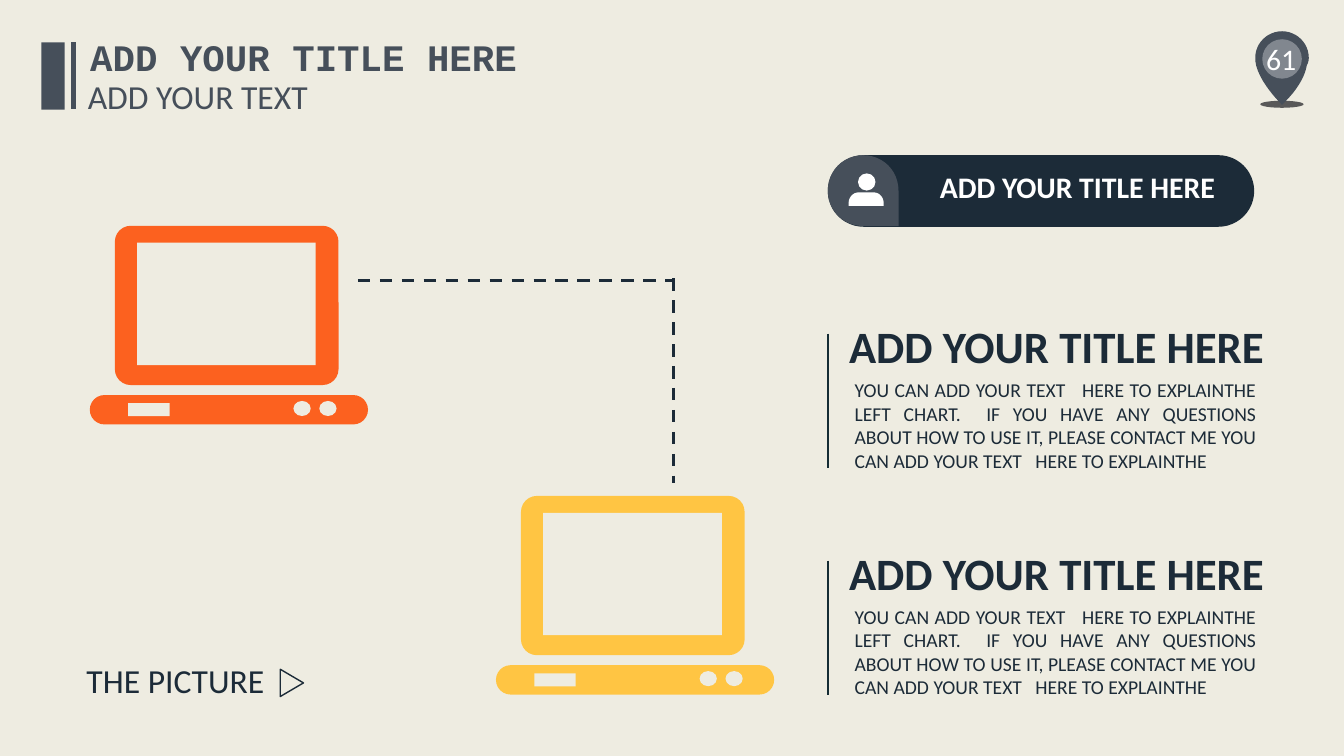
from dataclasses import dataclass

from lxml.etree import SubElement
from pptx import Presentation
from pptx.dml.color import RGBColor
from pptx.enum.dml import MSO_LINE
from pptx.enum.shapes import MSO_CONNECTOR, MSO_SHAPE
from pptx.enum.text import MSO_ANCHOR, MSO_AUTO_SIZE, PP_ALIGN
from pptx.oxml.ns import qn
from pptx.util import Inches, Pt


@dataclass(frozen=True)
class Theme:
    """Colours, fonts and type sizes of the slide."""
    paper: str = "EEECE1"
    slate: str = "464F5A"
    navy: str = "1C2B38"
    rule: str = "152C34"
    ground: str = "595959"
    orange: str = "FC611F"
    yellow: str = "FFC543"
    white: str = "FFFFFF"
    sans: str = "Calibri"
    mono: str = "Courier New"
    title: float = 26.7
    heading: float = 32
    subtitle: float = 24
    label: float = 21.3
    body: float = 14


@dataclass(frozen=True)
class Box:
    """A rectangle in EMU whose areas are given in percent of it."""
    left: int
    top: int
    width: int
    height: int

    def point(self, x, y):
        """Return the position at x and y percent."""
        return (round(self.left + self.width * x / 100),
                round(self.top + self.height * y / 100))

    def area(self, x, y, width, height):
        """Return a box inside this one."""
        return Box(*self.point(x, y), round(self.width * width / 100),
                   round(self.height * height / 100))

    def frame(self):
        """Return left, top, width and height."""
        return self.left, self.top, self.width, self.height


THEME = Theme()
PAGE = Box(0, 0, Inches(13.33), Inches(7.5))
HEADING = "ADD YOUR TITLE HERE "
EXPLANATION = ("YOU CAN ADD YOUR TEXT   HERE TO EXPLAINTHE LEFT CHART.  IF YOU HAVE ANY "
               "QUESTIONS ABOUT HOW TO USE IT, PLEASE CONTACT ME YOU CAN ADD YOUR TEXT   "
               "HERE TO EXPLAINTHE ")
PIN_OUTLINE = [(100, 36), (100, 16, 77, 0, 50, 0), (23, 0, 0, 16, 0, 36), (0, 40),
               (4, 68, 50, 100, 50, 100), (82, 78, 94, 58, 96, 47),
               (98, 44, 100, 41, 100, 36)]
BADGE_OUTLINE = [(50, 0), (22, 0, 0, 22, 0, 50), (0, 78, 22, 100, 50, 100), (100, 100),
                 (100, 50), (100, 22, 78, 0, 50, 0)]
SHOULDERS_OUTLINE = [(100, 100), (100, 77), (100, 38, 88, 0, 72, 0), (28, 0),
                     (12, 0, 0, 38, 0, 77), (0, 100)]


def paint(shape, color):
    """Give a shape a plain fill without line or shadow."""
    shape.shadow.inherit = False
    shape.fill.solid()
    shape.fill.fore_color.rgb = RGBColor.from_string(color)
    shape.line.fill.background()
    return shape


def add_solid(slide, kind, box, color, rounding=None):
    """Add a filled preset shape."""
    solid = paint(slide.shapes.add_shape(kind, *box.frame()), color)
    if rounding is not None:
        solid.adjustments[0] = rounding
    return solid


def add_outline(slide, box, segments, color, steps=12):
    """Add a filled shape from points and cubic curves in percent of a box."""
    start = segments[0]
    points = [start]
    for segment in segments[1:]:
        if len(segment) == 2:
            points.append(segment)
            continue
        curve = [points[-1], segment[:2], segment[2:4], segment[4:]]
        for step in range(1, steps + 1):
            t = step / steps
            weights = ((1 - t) ** 3, 3 * t * (1 - t) ** 2, 3 * t * t * (1 - t), t ** 3)
            points.append(tuple(sum(weight * knot[axis] for weight, knot in zip(weights, curve))
                                for axis in (0, 1)))
    builder = slide.shapes.build_freeform(*box.point(*start))
    builder.add_line_segments([box.point(*point) for point in points[1:]], close=True)
    return paint(builder.convert_to_shape(), color)


def add_line(slide, start, end, color, width, dash=None):
    """Add a straight line without shadow."""
    line = slide.shapes.add_connector(MSO_CONNECTOR.STRAIGHT, *start, *end)
    line.line.color.rgb = RGBColor.from_string(color)
    line.line.width = Pt(width)
    if dash:
        line.line.dash_style = dash
    SubElement(line._element.spPr, qn("a:effectLst"))


def write(holder, text, size, color, font=THEME.sans, bold=False, align=PP_ALIGN.LEFT,
          wrap=False, anchor=MSO_ANCHOR.TOP):
    """Fill a text holder with one formatted paragraph."""
    frame = holder.text_frame
    frame.text = text
    frame.word_wrap = wrap
    frame.auto_size = MSO_AUTO_SIZE.NONE
    frame.vertical_anchor = anchor
    paragraph = frame.paragraphs[0]
    paragraph.alignment = align
    paragraph.font.name = font
    paragraph.font.size = Pt(size)
    paragraph.font.bold = bold
    paragraph.font.color.rgb = RGBColor.from_string(color)


def add_text(slide, box, text, size, color, **style):
    """Add a text box."""
    write(slide.shapes.add_textbox(*box.frame()), text, size, color, **style)


def add_header(slide, box):
    """Place the title, the subtitle and the bars beside them."""
    add_solid(slide, MSO_SHAPE.RECTANGLE, box.area(0, 14.3, 4.8, 73.6), THEME.slate)
    add_line(slide, box.point(6.6, 14.3), box.point(6.6, 87), THEME.slate, 3)
    title = slide.shapes.title
    title.left, title.top, title.width, title.height = box.area(7.9, 0, 92.1, 60.4).frame()
    write(title, "ADD YOUR TITLE HERE", THEME.title, THEME.slate, font=THEME.mono, bold=True,
          align=PP_ALIGN.CENTER)
    add_text(slide, box.area(7.5, 45.1, 50, 54.9), "ADD YOUR TEXT", THEME.subtitle, THEME.slate)


def add_page_pin(slide, box):
    """Place the map pin with the page number."""
    add_solid(slide, MSO_SHAPE.OVAL, box.area(9.4, 90.8, 81, 9.2), THEME.ground)
    add_outline(slide, box.area(0, 0, 100, 96), PIN_OUTLINE, THEME.slate)
    disc = add_solid(slide, MSO_SHAPE.OVAL, box.area(13, 10.5, 74, 51.5), THEME.white)
    tint = disc._element.spPr.find(qn("a:solidFill"))[0]
    SubElement(tint, qn("a:alpha"), val="32000")
    add_text(slide, box.area(-245, 9.2, 587, 52.6), "61", THEME.label, THEME.white,
             align=PP_ALIGN.CENTER, wrap=True, anchor=MSO_ANCHOR.MIDDLE)


def add_laptop(slide, box, color):
    """Place a laptop with lid, screen, base, slot and two buttons."""
    rounded = MSO_SHAPE.ROUNDED_RECTANGLE
    add_solid(slide, rounded, box.area(9, 0, 80.4, 80.2), color, 0.1)
    add_solid(slide, MSO_SHAPE.RECTANGLE, box.area(17, 8.5, 64.2, 61.6), THEME.paper)
    add_solid(slide, rounded, box.area(0, 85.2, 100, 14.8), color, 0.5)
    add_solid(slide, MSO_SHAPE.RECTANGLE, box.area(13.8, 89.3, 14.9, 6.6), THEME.paper)
    for button in range(2):
        add_solid(slide, MSO_SHAPE.OVAL, box.area(73.2 + 9.3 * button, 88.2, 6.2, 7.6),
                  THEME.paper)


def add_link(slide, box):
    """Place the dashed corner between the laptops."""
    for start, end in (((0, 0), (100, 0)), ((100, -1), (100, 100))):
        add_line(slide, box.point(*start), box.point(*end), THEME.navy, 2.25, MSO_LINE.DASH)


def add_banner(slide, box):
    """Place the rounded banner with the person badge."""
    add_solid(slide, MSO_SHAPE.ROUNDED_RECTANGLE, box, THEME.navy, 0.5)
    add_outline(slide, box.area(0, 0, 16.6, 99), BADGE_OUTLINE, THEME.slate)
    add_solid(slide, MSO_SHAPE.OVAL, box.area(7.1, 25.4, 4.1, 24), THEME.white)
    add_outline(slide, box.area(4.9, 52, 8.2, 18.9), SHOULDERS_OUTLINE, THEME.white)
    add_text(slide, box.area(23.4, 11.3, 71.9, 64.8), HEADING, THEME.label, THEME.white,
             bold=True, align=PP_ALIGN.CENTER)


def add_section(slide, box):
    """Place a heading and its explanation beside a vertical rule."""
    add_text(slide, box.area(3.7, 36.2, 91.9, 63.8), EXPLANATION, THEME.body, THEME.navy,
             align=PP_ALIGN.JUSTIFY, wrap=True)
    add_text(slide, box.area(2, 0, 98, 39.3), HEADING, THEME.heading, THEME.navy, bold=True,
             align=PP_ALIGN.CENTER)
    add_line(slide, box.point(0, 12.3), box.point(0, 93.9), THEME.rule, 1.5)


def add_caption(slide, box):
    """Place the caption and its outlined arrowhead."""
    add_text(slide, box.area(0, 0, 87.2, 100), "THE PICTURE", THEME.subtitle, THEME.navy)
    pointer = slide.shapes.add_shape(MSO_SHAPE.ISOSCELES_TRIANGLE,
                                     *box.area(88.1, 32, 11.9, 46).frame())
    pointer.rotation = 90
    pointer.shadow.inherit = False
    pointer.fill.background()
    pointer.line.color.rgb = RGBColor.from_string(THEME.navy)
    pointer.line.width = Pt(1)


def main():
    """Build and save the slide."""
    deck = Presentation()
    deck.slide_width, deck.slide_height = PAGE.width, PAGE.height
    slide = deck.slides.add_slide(deck.slide_layouts[5])
    slide.background.fill.solid()
    slide.background.fill.fore_color.rgb = RGBColor.from_string(THEME.paper)
    add_header(slide, PAGE.area(3.08, 3.87, 36.2, 12.1))
    add_page_pin(slide, PAGE.area(93.4, 4.13, 3.98, 10.13))
    for x, y, color in ((6.68, 29.87, THEME.orange), (36.9, 65.6, THEME.yellow)):
        add_laptop(slide, PAGE.area(x, y, 20.7, 26.27), color)
    add_link(slide, PAGE.area(26.63, 37.07, 23.48, 26.8))
    add_banner(slide, PAGE.area(61.59, 20.53, 31.73, 9.47))
    for section in range(2):
        add_section(slide, PAGE.area(61.59, 41.47 + 30 * section, 34.13, 21.73))
    add_caption(slide, PAGE.area(5.7, 86.67, 17.03, 6.67))
    deck.save("out.pptx")


if __name__ == "__main__":
    main()
